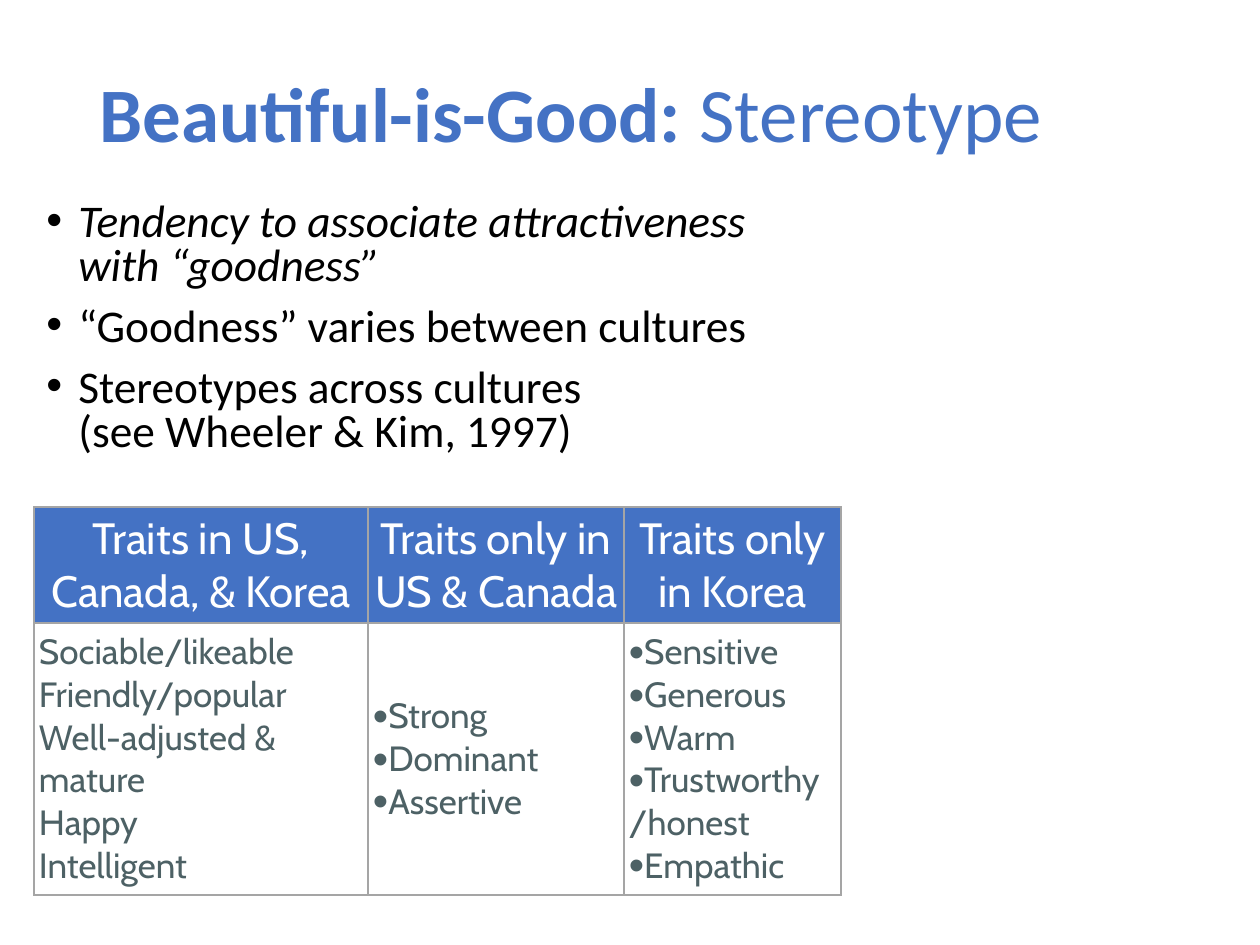
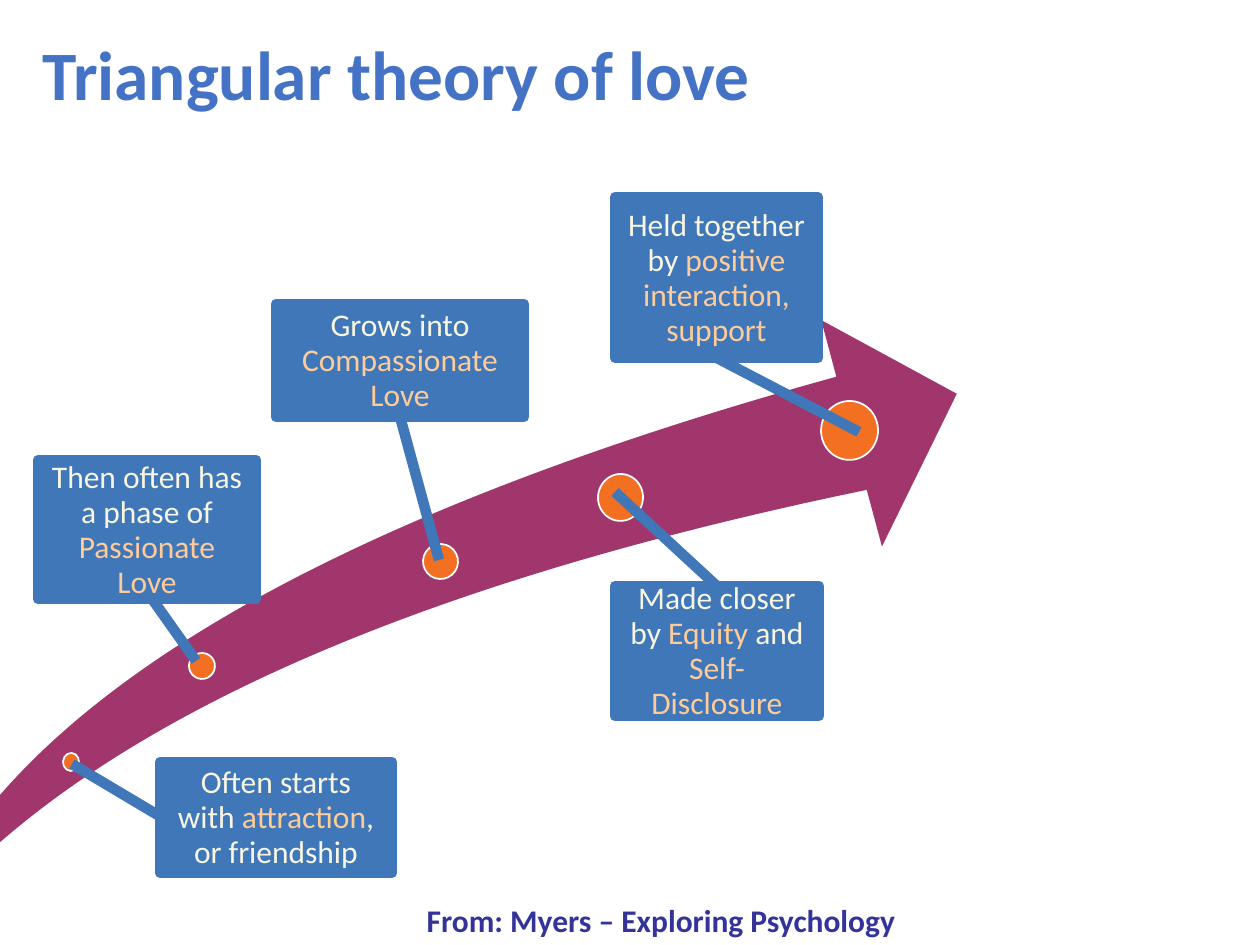
from lxml.etree import SubElement
from pptx import Presentation
from pptx.dml.color import RGBColor
from pptx.enum.shapes import MSO_SHAPE
from pptx.enum.text import MSO_ANCHOR, PP_ALIGN
from pptx.oxml.ns import qn
from pptx.util import Emu, Pt

BLUE = RGBColor(0x44, 0x72, 0xC4)
BLACK = RGBColor(0, 0, 0)
WHITE = RGBColor(0xFF, 0xFF, 0xFF)
SLATE = RGBColor(0x4D, 0x61, 0x65)
BORDER = RGBColor(0xA5, 0xA5, 0xA5)
PLUM = RGBColor(0xA0, 0x36, 0x6C)
ORANGE = RGBColor(0xF3, 0x6F, 0x21)
CALLOUT = RGBColor(0x3F, 0x77, 0xB9)
CREAM = RGBColor(0xF8, 0xF6, 0xE3)
PEACH = RGBColor(0xFF, 0xCC, 0x99)
NAVY = RGBColor(0x33, 0x33, 0x99)
MAIN, TABLE_FONT = "Calibri", "Cabin"

# Content of the stereotype slide; a line break inside a point is "\n"
POINTS = [
    ("Tendency to associate attractiveness with “goodness”", True),
    ("“Goodness” varies between cultures", False),
    ("Stereotypes across cultures \n(see Wheeler & Kim, 1997)", False),
]
# Column: width, heading, bulleted, traits
TRAITS = [
    (334, "Traits in US, Canada, & Korea", False,
     ["Sociable/likeable", "Friendly/popular", "Well-adjusted & mature", "Happy", "Intelligent"]),
    (256, "Traits only in US & Canada", True, ["Strong", "Dominant", "Assertive"]),
    (217, "Traits only in Korea", True,
     ["Sensitive", "Generous", "Warm", "Trustworthy/honest", "Empathic"]),
]
ROW_HEIGHTS = (116, 272)

# Content of the love slide: dots along the arrow, then the callouts
DOTS = [(63, 753, 16, 18), (189, 653, 26, 26), (423, 544, 35, 35),
        (598, 474, 45, 47), (821, 401, 57, 59)]
# Callout: place, pointer start, pointer tip, text runs
STAGES = [
    ((160, 762, 232, 111), (161, 817), (72, 764),
     [("Often starts with ", CREAM), ("attraction", PEACH), (", or friendship", CREAM)]),
    ((38, 460, 218, 139), (150, 596), (196, 661),
     [("Then often has a phase of ", CREAM), ("Passionate Love", PEACH)]),
    ((276, 304, 248, 113), (399, 413), (439, 560),
     [("Grows into ", CREAM), ("Compassionate Love", PEACH)]),
    ((615, 586, 204, 130), (719, 588), (615, 492),
     [("Made closer by ", CREAM), ("Equity", PEACH), (" and ", CREAM), ("Self-Disclosure", PEACH)]),
    ((615, 197, 203, 161), (713, 356), (859, 432),
     [("Held together by ", CREAM), ("positive interaction, support", PEACH)]),
]


def px(length):
    return Emu(round(length * 914400 / 126))


def add_span(para, text, size, color, font=MAIN, bold=False, italic=False):
    for index, line in enumerate(text.split("\n")):
        if index:
            para.add_line_break()
        span = para.add_run()
        span.text = line
        span.font.name, span.font.size = font, Pt(size)
        span.font.bold, span.font.italic = bold, italic
        span.font.color.rgb = color


def add_bullet(para, hanging=0, percent=100):
    properties = para._p.get_or_add_pPr()
    properties.set("marL", str(px(hanging)))
    properties.set("indent", str(-px(hanging)))
    SubElement(properties, qn("a:buSzPct")).set("val", str(percent * 1000))
    SubElement(properties, qn("a:buFont")).set("typeface", "Arial")
    SubElement(properties, qn("a:buChar")).set("char", "•")


def next_para(frame, index):
    return frame.add_paragraph() if index else frame.paragraphs[0]


def add_text_box(page, place, anchor=MSO_ANCHOR.TOP):
    frame = page.shapes.add_textbox(*map(px, place)).text_frame
    frame.word_wrap = True
    frame.vertical_anchor = anchor
    return frame


def add_title(page, place, spans, size, line_spacing):
    para = add_text_box(page, place, MSO_ANCHOR.MIDDLE).paragraphs[0]
    para.line_spacing = line_spacing
    for text, bold in spans:
        add_span(para, text, size, BLUE, bold=bold)


def add_filled(page, kind, place, fill, line=None, weight=1, angle=0):
    shape = page.shapes.add_shape(kind, *map(px, place))
    shape.shadow.inherit = False
    shape.rotation = angle
    shape.fill.solid()
    shape.fill.fore_color.rgb = fill
    if line is None:
        shape.line.fill.background()
    else:
        shape.line.color.rgb = line
        shape.line.width = Pt(weight)
    return shape


def prepare_cell(cell, fill=None):
    cell.vertical_anchor = MSO_ANCHOR.MIDDLE
    cell.margin_left = cell.margin_right = cell.margin_top = cell.margin_bottom = px(5)
    properties = cell._tc.get_or_add_tcPr()
    for side in ("a:lnL", "a:lnR", "a:lnT", "a:lnB"):
        edge = SubElement(properties, qn(side), w=str(Pt(1)))
        SubElement(SubElement(edge, qn("a:solidFill")), qn("a:srgbClr"), val=str(BORDER))
    if fill is None:
        cell.fill.background()
    else:
        cell.fill.solid()
        cell.fill.fore_color.rgb = fill


def add_trait_table(page):
    width = sum(column[0] for column in TRAITS)
    table = page.shapes.add_table(2, len(TRAITS), px(34), px(507), px(width),
                                  px(sum(ROW_HEIGHTS))).table
    table.first_row = table.horz_banding = False
    for row, height in zip(table.rows, ROW_HEIGHTS):
        row.height = px(height)
    for column, (width, heading, bulleted, traits) in enumerate(TRAITS):
        table.columns[column].width = px(width)
        head, body = table.cell(0, column), table.cell(1, column)
        prepare_cell(head, BLUE)
        prepare_cell(body)
        para = head.text_frame.paragraphs[0]
        para.alignment = PP_ALIGN.CENTER
        add_span(para, heading, 25, WHITE, TABLE_FONT)
        for index, trait in enumerate(traits):
            para = next_para(body.text_frame, index)
            if bulleted:
                add_bullet(para, percent=125)
            add_span(para, trait, 20, SLATE, TABLE_FONT)


def add_callout(page, place, start, tip, spans):
    left, top, width, height = place
    box = add_filled(page, MSO_SHAPE.LINE_CALLOUT_1, place, CALLOUT, CALLOUT, 6)
    # Pointer ends are fractions of the box, vertical first
    ends = [((y - top) / height, (x - left) / width) for x, y in (start, tip)]
    for index, fraction in enumerate(ends[0] + ends[1]):
        box.adjustments[index] = fraction
    frame = box.text_frame
    frame.word_wrap = True
    frame.vertical_anchor = MSO_ANCHOR.MIDDLE
    frame.margin_left = frame.margin_right = frame.margin_top = frame.margin_bottom = px(13)
    para = frame.paragraphs[0]
    para.alignment = PP_ALIGN.CENTER
    para.line_spacing = Pt(20)
    for text, color in spans:
        add_span(para, text, 18, color)


def build_stereotype(page):
    add_title(page, (87, 50, 1086, 135),
              [("Beautiful-is-Good: ", True), ("Stereotype", False)], 44, 0.9)
    frame = add_text_box(page, (34, 197, 759, 276))
    for index, (text, italic) in enumerate(POINTS):
        para = next_para(frame, index)
        para.line_spacing = 0.8
        para.space_before = Pt(10 if index else 0)
        add_bullet(para, hanging=32)
        add_span(para, text, 25.9, BLACK, italic=italic)
    add_trait_table(page)


def build_love(page):
    arrow = add_filled(page, MSO_SHAPE.SWOOSH_ARROW, (-125, 382, 1109, 466), PLUM, angle=351.4)
    arrow.adjustments[0] = arrow.adjustments[1] = 0.25
    for place in DOTS:
        add_filled(page, MSO_SHAPE.OVAL, place, ORANGE, WHITE, angle=4.3)
    for stage in STAGES:
        add_callout(page, *stage)
    add_title(page, (30, 15, 746, 135), [("Triangular theory of love", True)], 39.6, Pt(36))
    # Source line
    para = add_text_box(page, (338, 895, 646, 50)).paragraphs[0]
    para.alignment = PP_ALIGN.CENTER
    add_span(para, "From: Myers – Exploring Psychology", 18, NAVY, bold=True)


def main():
    deck = Presentation()
    deck.slide_width, deck.slide_height = px(1260), px(945)
    for build in (build_stereotype, build_love):
        build(deck.slides.add_slide(deck.slide_layouts[6]))
    deck.save("out.pptx")


if __name__ == "__main__":
    main()
